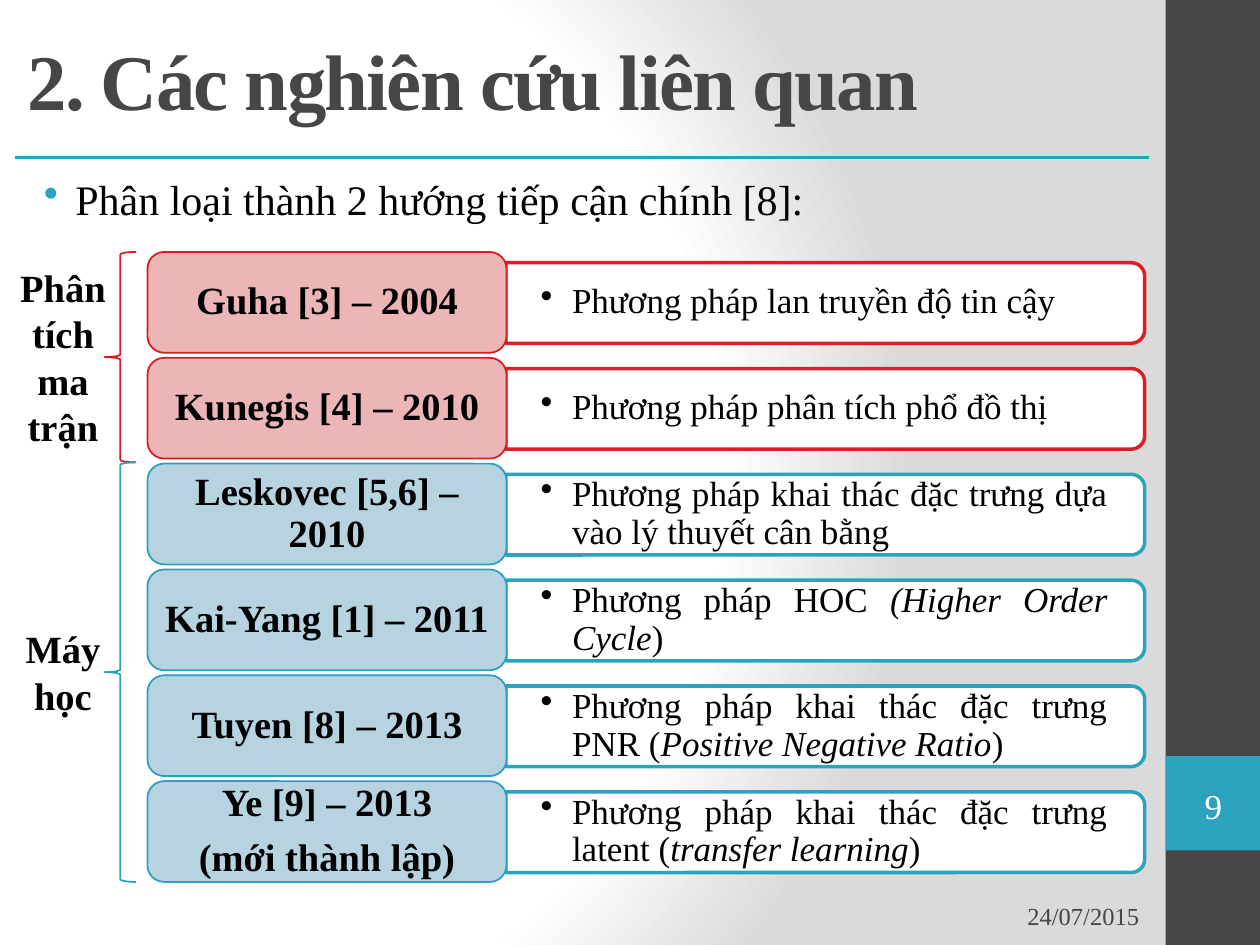
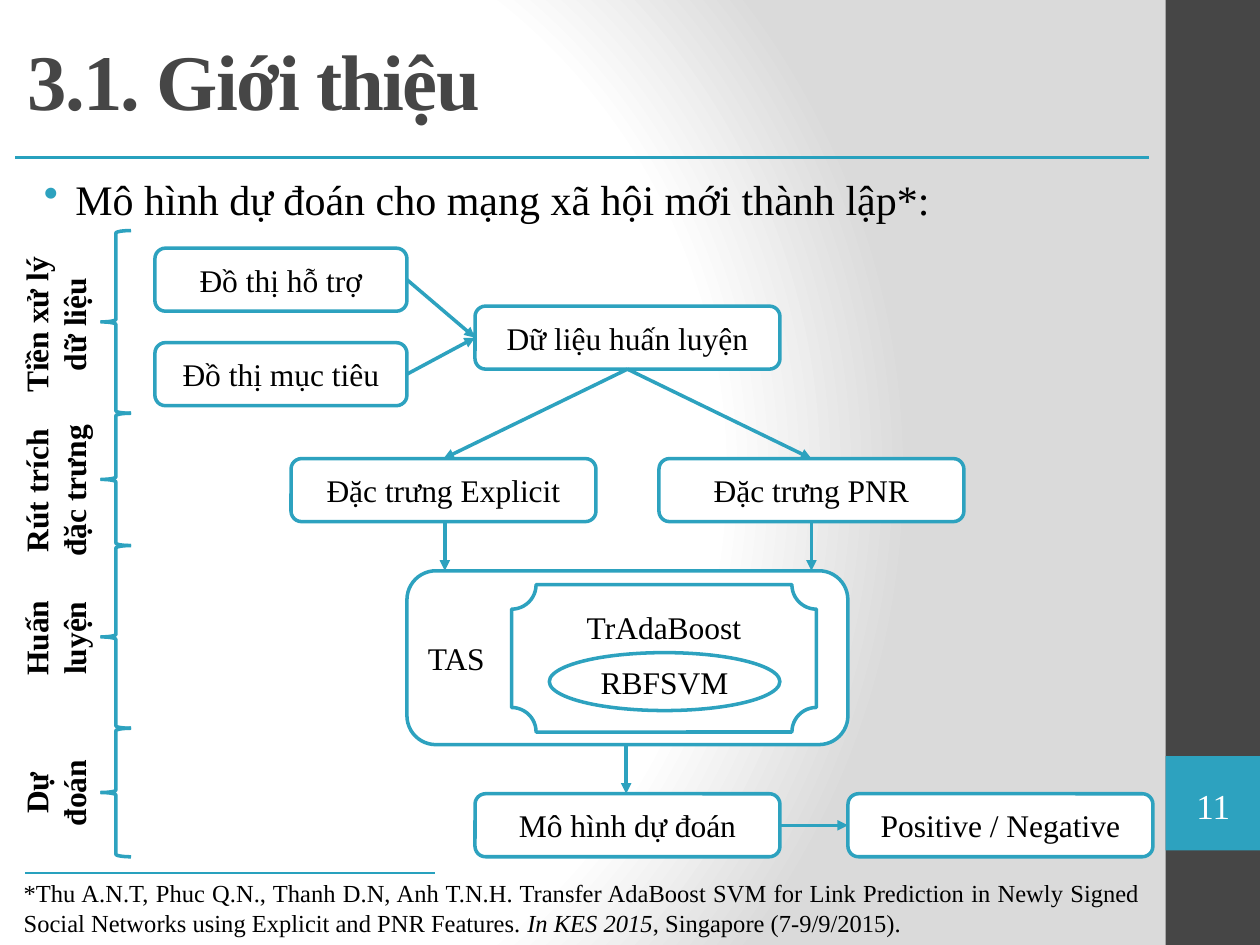
"""Build two slides on trust prediction: related research and the proposed model."""
from dataclasses import dataclass
from lxml.etree import SubElement
from pptx import Presentation
from pptx.dml.color import RGBColor
from pptx.enum.shapes import MSO_CONNECTOR, MSO_SHAPE
from pptx.enum.text import MSO_ANCHOR, PP_ALIGN
from pptx.oxml import parse_xml
from pptx.oxml.ns import nsdecls, qn
from pptx.util import Inches, Pt


@dataclass(frozen=True)
class Theme:
    font: str = "Times New Roman"
    dark: str = "464646"
    teal: str = "2DA2BF"
    teal_line: str = "28A1BE"
    teal_tint: str = "B6D3DF"
    red: str = "DA1F28"
    red_line: str = "DA1A23"
    red_tint: str = "ECB5B6"
    white: str = "FFFFFF"
    black: str = "000000"
    shade: str = "DADADA"
    title: int = 45
    lead: int = 24
    name: int = 22
    body: int = 20
    node: int = 18
    small: int = 14


theme = Theme()
LEFT, CENTER, RIGHT, JUSTIFY = PP_ALIGN.LEFT, PP_ALIGN.CENTER, PP_ALIGN.RIGHT, PP_ALIGN.JUSTIFY
TOP, MIDDLE = MSO_ANCHOR.TOP, MSO_ANCHOR.MIDDLE


def draw(page, preset, at, fill=None, line=None, weight=2, rotation=0):
    """Add a preset shape, or a text box when preset is None."""
    frame = [Inches(length) for length in at]
    if preset is None:
        return page.shapes.add_textbox(*frame)
    box = page.shapes.add_shape(preset, *frame)
    box.shadow.inherit = False
    box.rotation = rotation
    if fill:
        box.fill.solid()
        box.fill.fore_color.rgb = RGBColor.from_string(fill)
    else:
        box.fill.background()
    if line:
        box.line.color.rgb = RGBColor.from_string(line)
        box.line.width = Pt(weight)
    else:
        box.line.fill.background()
    return box


def write(box, paragraphs, size, color=theme.black, bold=False, align=CENTER, anchor=MIDDLE,
          insets=(0.1, 0.05), bullet=None, hang=0.25, tracking=None, leading=None, after=0):
    """Fill a box with paragraphs, each a list of runs that alternate roman and italic."""
    text = box.text_frame
    text.word_wrap = True
    text.vertical_anchor = anchor
    text.margin_left = text.margin_right = Inches(insets[0])
    text.margin_top = text.margin_bottom = Inches(insets[1])
    for index, runs in enumerate(paragraphs):
        para = text.add_paragraph() if index else text.paragraphs[0]
        if bullet:
            properties = para._p.get_or_add_pPr()
            properties.set("marL", str(Inches(hang)))
            properties.set("indent", str(Inches(-0.25)))
            tint = SubElement(properties, qn("a:buClr"))
            SubElement(tint, qn("a:srgbClr")).set("val", bullet)
            SubElement(properties, qn("a:buChar")).set("char", "•")
        para.alignment = align
        para.space_after = Pt(after)
        if leading:
            para.line_spacing = leading
        for position, words in enumerate(runs):
            span = para.add_run()
            span.text = words
            span.font.name = theme.font
            span.font.size = Pt(size)
            span.font.bold = bold
            span.font.italic = position % 2 == 1
            span.font.color.rgb = RGBColor.from_string(color)
            if tracking:
                span._r.get_or_add_rPr().set("spc", str(tracking))


deck = Presentation()
deck.slide_width, deck.slide_height = Inches(10), Inches(7.5)

pages = []
lines = []
for title, lead, number in [
    ("2. Các nghiên cứu liên quan", "Phân loại thành 2 hướng tiếp cận chính [8]:", "9"),
    ("3.1. Giới thiệu", "Mô hình dự đoán cho mạng xã hội mới thành lập*:", "11"),
]:
    page = deck.slides.add_slide(deck.slide_layouts[6])
    stops = "".join(
        f'<a:gs pos="{position}000"><a:srgbClr val="{color}"/></a:gs>'
        for position, color in [(0, theme.white), (75, theme.white), (100, theme.shade)]
    )
    page.element.cSld.insert(0, parse_xml(
        f'<p:bg {nsdecls("p", "a")}><p:bgPr><a:gradFill rotWithShape="1"><a:gsLst>{stops}</a:gsLst>'
        '<a:path path="circle"><a:fillToRect l="20000" t="50000" r="100000" b="50000"/></a:path>'
        '</a:gradFill><a:effectLst/></p:bgPr></p:bg>'
    ))
    draw(page, MSO_SHAPE.RECTANGLE, (9.25, 0, 0.75, 7.5), theme.dark)
    draw(page, MSO_SHAPE.RECTANGLE, (9.25, 6, 0.75, 0.75), theme.teal)
    write(draw(page, None, (0.12, 0, 9, 1.25)), [[title]], theme.title, theme.dark,
          bold=True, align=LEFT, tracking=-100)
    write(draw(page, None, (9.33, 6.18, 0.6, 0.43)), [[number]], theme.body, theme.white,
          insets=(0, 0))
    write(draw(page, None, (0.12, 1.33, 9, 0.58)), [[lead]], theme.lead, align=JUSTIFY,
          anchor=TOP, bullet=theme.teal, hang=0.38)
    lines.append((page, (0.12, 1.25), (9.12, 1.25), theme.teal_line, 2.25, False))
    pages.append(page)

research, model = pages

write(draw(research, None, (6.47, 7.07, 2.67, 0.4)), [["24/07/2015"]], theme.small,
      theme.dark, align=RIGHT)

red = (theme.red, theme.red_tint, theme.red_line)
teal = (theme.teal, theme.teal_tint, theme.teal_line)
studies = [
    (red, [["Guha [3] – 2004"]], ["Phương pháp lan truyền độ tin cậy"]),
    (red, [["Kunegis [4] – 2010"]], ["Phương pháp phân tích phổ đồ thị"]),
    (teal, [["Leskovec [5,6] – 2010"]],
     ["Phương pháp khai thác đặc trưng dựa vào lý thuyết cân bằng"]),
    (teal, [["Kai-Yang [1] – 2011"]], ["Phương pháp HOC ", "(Higher Order Cycle", ")"]),
    (teal, [["Tuyen [8] – 2013"]],
     ["Phương pháp khai thác đặc trưng PNR (", "Positive Negative Ratio", ")"]),
    (teal, [["Ye [9] – 2013"], ["(mới thành lập)"]],
     ["Phương pháp khai thác đặc trưng latent (", "transfer learning", ")"]),
]
for row, ((outline, tint, edge), names, method) in enumerate(studies):
    top = 2 + 0.84 * row
    draw(research, MSO_SHAPE.ROUND_2_SAME_RECTANGLE, (6.23, top - 2.13, 0.64, 5.07),
         theme.white, outline, rotation=90)
    write(draw(research, None, (4.02, top + 0.11, 5.04, 0.58)), [method], theme.body,
          align=JUSTIFY, insets=(0.27, 0.14), bullet=theme.black, leading=0.9, after=3)
    write(draw(research, MSO_SHAPE.ROUNDED_RECTANGLE, (1.17, top, 2.85, 0.8), tint, edge, 1),
          names, theme.name, bold=True, insets=(0.09, 0.05), leading=0.9, after=7.7)

for approach, label_top, brace_top, brace_height, edge in [
    ("Phân tích ma trận", 2.08, 2, 1.67, theme.red_line),
    ("Máy học", 4.58, 3.67, 3.33, theme.teal_line),
]:
    draw(research, MSO_SHAPE.LEFT_BRACE, (0.83, brace_top, 0.25, brace_height), None, edge, 1)
    write(draw(research, None, (0, label_top, 1, 1.5)), [[approach]], theme.name, bold=True)

rounded = MSO_SHAPE.ROUNDED_RECTANGLE
for words, preset, at, align, anchor in [
    ("Đồ thị hỗ trợ", rounded, (1.23, 1.97, 2, 0.5), CENTER, MIDDLE),
    ("Đồ thị mục tiêu", rounded, (1.23, 2.72, 2, 0.5), CENTER, MIDDLE),
    ("Dữ liệu huấn luyện", rounded, (3.77, 2.43, 2.42, 0.5), CENTER, MIDDLE),
    ("Đặc trưng Explicit", rounded, (2.31, 3.64, 2.42, 0.5), CENTER, MIDDLE),
    ("Đặc trưng PNR", rounded, (5.23, 3.64, 2.42, 0.5), CENTER, MIDDLE),
    ("Mô hình dự đoán", rounded, (3.77, 6.3, 2.42, 0.5), CENTER, MIDDLE),
    ("Positive / Negative", rounded, (6.73, 6.3, 2.42, 0.5), CENTER, MIDDLE),
    ("TAS", rounded, (3.23, 4.53, 3.5, 1.38), JUSTIFY, MIDDLE),
    ("TrAdaBoost", MSO_SHAPE.PLAQUE, (4.06, 4.64, 2.42, 1.17), CENTER, TOP),
    ("RBFSVM", MSO_SHAPE.OVAL, (4.36, 5.18, 1.83, 0.46), CENTER, MIDDLE),
]:
    write(draw(model, preset, at, theme.white, theme.teal), [[words]], theme.node,
          align=align, anchor=anchor)

for start, end in [
    ((3.23, 2.22), (3.77, 2.68)),
    ((3.23, 2.97), (3.77, 2.68)),
    ((4.98, 2.93), (3.52, 3.64)),
    ((4.98, 2.93), (6.44, 3.64)),
    ((3.53, 4.14), (3.53, 4.53)),
    ((6.44, 4.14), (6.44, 4.53)),
    ((4.97, 5.91), (4.97, 6.3)),
    ((6.19, 6.55), (6.73, 6.55)),
]:
    lines.append((model, start, end, theme.teal, 2, True))

brace_top = 1.83
for stage, brace_height, label_middle, label_width in [
    ("Tiền xử lý dữ liệu", 1.45, 2.58, 1.35),
    ("Rút trích đặc trưng", 1.05, 3.9, 1.35),
    ("Huấn luyện", 1.45, 5.07, 1.01),
    ("Dự đoán", 1.02, 6.3, 1),
]:
    draw(model, MSO_SHAPE.LEFT_BRACE, (0.8, brace_top, 0.24, brace_height),
         theme.white, theme.teal)
    label = draw(model, MSO_SHAPE.RECTANGLE,
                 (0.44 - label_width / 2, label_middle - 0.36, label_width, 0.71),
                 theme.white, rotation=270)
    write(label, [[stage]], theme.node, bold=True, anchor=TOP)
    brace_top += brace_height

citation = [
    "*Thu A.N.T, Phuc Q.N., Thanh D.N, Anh T.N.H. Transfer AdaBoost SVM for Link Prediction "
    "in Newly Signed Social Networks using Explicit and PNR Features. ",
    "In KES 2015",
    ", Singapore (7-9/9/2015).",
]
write(draw(model, None, (0.09, 6.92, 9.06, 0.57)), [citation], theme.small, align=JUSTIFY,
      anchor=TOP)
lines.append((model, (0.2, 6.93), (3.45, 6.93), theme.teal_line, 1, False))

for page, start, end, color, weight, arrow in lines:
    ends = [Inches(length) for length in start + end]
    connector = page.shapes.add_connector(MSO_CONNECTOR.STRAIGHT, *ends)
    connector.line.color.rgb = RGBColor.from_string(color)
    connector.line.width = Pt(weight)
    properties = connector._element.spPr
    if arrow:
        SubElement(properties.find(qn("a:ln")), qn("a:tailEnd")).set("type", "triangle")
    SubElement(properties, qn("a:effectLst"))

deck.save("out.pptx")
